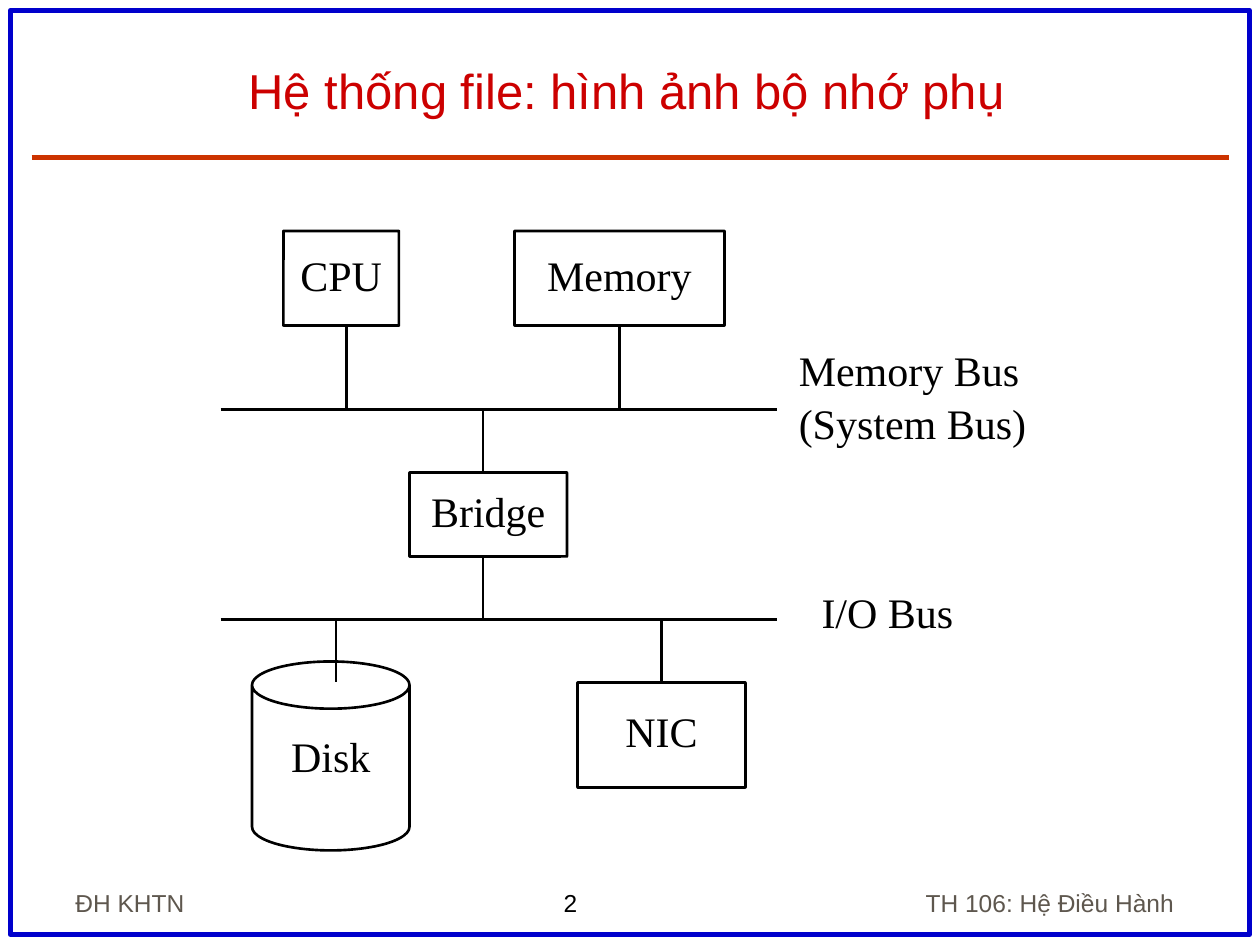
"""Build a slide showing how the disk connects to the CPU through the memory and I/O buses."""

from dataclasses import dataclass
from typing import Optional

import pptx
import pptx.dml.color
import pptx.enum.shapes
import pptx.enum.text
import pptx.oxml.ns
import pptx.util
from lxml import etree

Pt = pptx.util.Pt
RGBColor = pptx.dml.color.RGBColor
Shape = pptx.enum.shapes.MSO_SHAPE
Align = pptx.enum.text.PP_ALIGN
Anchor = pptx.enum.text.MSO_ANCHOR

BLACK = RGBColor(0x00, 0x00, 0x00)
BLUE = RGBColor(0x00, 0x00, 0xCC)
RUST = RGBColor(0xCC, 0x33, 0x00)
RED = RGBColor(0xCC, 0x00, 0x00)
GREY = RGBColor(0x5E, 0x57, 0x4E)
SANS = "Arial"
SERIF = "Times New Roman"
TOP, BOTTOM = 0, 2
MEMORY_BUS_Y, IO_BUS_Y = 234, 354


@dataclass(frozen=True)
class Device:
    name: str
    left: float
    top: float
    width: float
    height: float
    kind: Shape = Shape.ROUNDED_RECTANGLE
    adjustment: float = 0.002
    bottom_inset: float = 3.6


@dataclass(frozen=True)
class Label:
    lines: tuple[str, ...]
    left: float
    top: float
    width: float
    height: float
    size: float = 24
    font: str = SERIF
    color: RGBColor = BLACK
    align: Align = Align.LEFT
    anchor: Anchor = Anchor.TOP
    side_inset: float = 1.44
    space_before: float = 5.4
    line_spacing: float = 0.85


@dataclass(frozen=True)
class Wire:
    x: float
    start_y: float
    end_y: float
    start_device: Optional[str] = None
    end_device: Optional[str] = None


DEVICES = (
    Device("CPU", 162, 132, 66, 54),
    Device("Memory", 294, 132, 120, 54),
    Device("Bridge", 234, 270, 90, 48),
    Device("Disk", 144, 378, 90, 108, Shape.CAN, 0.3, 13),
    Device("NIC", 330, 390, 96, 60),
)
WIRES = (
    Wire(198, 186, MEMORY_BUS_Y),
    Wire(354, 186, MEMORY_BUS_Y, start_device="Memory"),
    Wire(276, MEMORY_BUS_Y, 270),
    Wire(276, 318, IO_BUS_Y),
    Wire(192, IO_BUS_Y, 390),
    Wire(378, IO_BUS_Y, 390, end_device="NIC"),
)
FOOTER = dict(size=14, font=SANS, side_inset=7.2, line_spacing=1)
LABELS = (
    Label(("Memory Bus", "(System Bus)"), 455, 198, 145, 67),
    Label(("I/O Bus",), 468, 336, 90, 36),
    Label(("2",), 315, 504, 79, 24, space_before=0, **FOOTER),
    Label(("ĐH KHTN",), 36, 492, 150, 36, color=GREY, anchor=Anchor.BOTTOM,
          space_before=8.8, **FOOTER),
    Label(("TH 106: Hệ Điều Hành",), 480, 492, 198, 36, color=GREY, align=Align.RIGHT,
          anchor=Anchor.BOTTOM, space_before=8.8, **FOOTER),
)


def format_paragraph(paragraph, size: float, font: str, color: RGBColor, align: Align) -> None:
    paragraph.alignment = align
    paragraph.font.size = Pt(size)
    paragraph.font.name = font
    paragraph.font.color.rgb = color


def add_title(slide, text: str) -> None:
    title = slide.shapes.title
    title.left, title.top, title.width, title.height = Pt(32), Pt(18), Pt(652), Pt(54)
    frame = title.text_frame
    frame.text = text
    frame.auto_size = pptx.enum.text.MSO_AUTO_SIZE.NONE
    frame.vertical_anchor = Anchor.BOTTOM
    format_paragraph(frame.paragraphs[0], 28, SANS, RED, Align.CENTER)


def add_outline(slide, kind: Shape, left: float, top: float, width: float, height: float,
                color: RGBColor, weight: float):
    shape = slide.shapes.add_shape(kind, Pt(left), Pt(top), Pt(width), Pt(height))
    shape.shadow.inherit = False
    shape.fill.background()
    shape.line.color.rgb = color
    shape.line.width = Pt(weight)
    return shape


def add_device(slide, device: Device):
    shape = add_outline(slide, device.kind, device.left, device.top,
                        device.width, device.height, BLACK, 1.5)
    shape.adjustments[0] = device.adjustment
    frame = shape.text_frame
    frame.text = device.name
    frame.word_wrap = True
    frame.vertical_anchor = Anchor.MIDDLE
    frame.margin_left = frame.margin_right = Pt(1.44)
    frame.margin_bottom = Pt(device.bottom_inset)
    paragraph = frame.paragraphs[0]
    paragraph.line_spacing = 0.85
    format_paragraph(paragraph, 24, SERIF, BLACK, Align.CENTER)
    return shape


def add_line(slide, start: tuple[float, float], end: tuple[float, float],
             color: RGBColor = BLACK, weight: float = 1.5):
    connector = slide.shapes.add_connector(
        pptx.enum.shapes.MSO_CONNECTOR.STRAIGHT, *map(Pt, start + end))
    connector.line.color.rgb = color
    connector.line.width = Pt(weight)
    etree.SubElement(connector._element.spPr, pptx.oxml.ns.qn("a:effectLst"))
    return connector


def add_wire(slide, wire: Wire, devices: dict) -> None:
    connector = add_line(slide, (wire.x, wire.start_y), (wire.x, wire.end_y))
    if wire.start_device:
        connector.begin_connect(devices[wire.start_device], BOTTOM)
    if wire.end_device:
        connector.end_connect(devices[wire.end_device], TOP)


def add_label(slide, label: Label) -> None:
    box = slide.shapes.add_textbox(Pt(label.left), Pt(label.top), Pt(label.width), Pt(label.height))
    frame = box.text_frame
    frame.text = "\n".join(label.lines)
    frame.word_wrap = True
    frame.vertical_anchor = label.anchor
    frame.margin_left = frame.margin_right = Pt(label.side_inset)
    for paragraph in frame.paragraphs:
        paragraph.space_before = Pt(label.space_before)
        paragraph.line_spacing = label.line_spacing
        format_paragraph(paragraph, label.size, label.font, label.color, label.align)


def main() -> None:
    presentation = pptx.Presentation()
    presentation.slide_width, presentation.slide_height = Pt(720), Pt(540)
    slide = presentation.slides.add_slide(presentation.slide_layouts[5])
    add_outline(slide, Shape.RECTANGLE, 6, 6, 708, 528, BLUE, 3)
    add_line(slide, (18, 90), (702, 90), RUST, 3)
    add_title(slide, "Hệ thống file: hình ảnh bộ nhớ phụ")
    devices = {device.name: add_device(slide, device) for device in DEVICES}
    for bus_y in (MEMORY_BUS_Y, IO_BUS_Y):
        add_line(slide, (126, bus_y), (444, bus_y))
    for wire in WIRES:
        add_wire(slide, wire, devices)
    for label in LABELS:
        add_label(slide, label)
    presentation.save("out.pptx")


if __name__ == "__main__":
    main()
